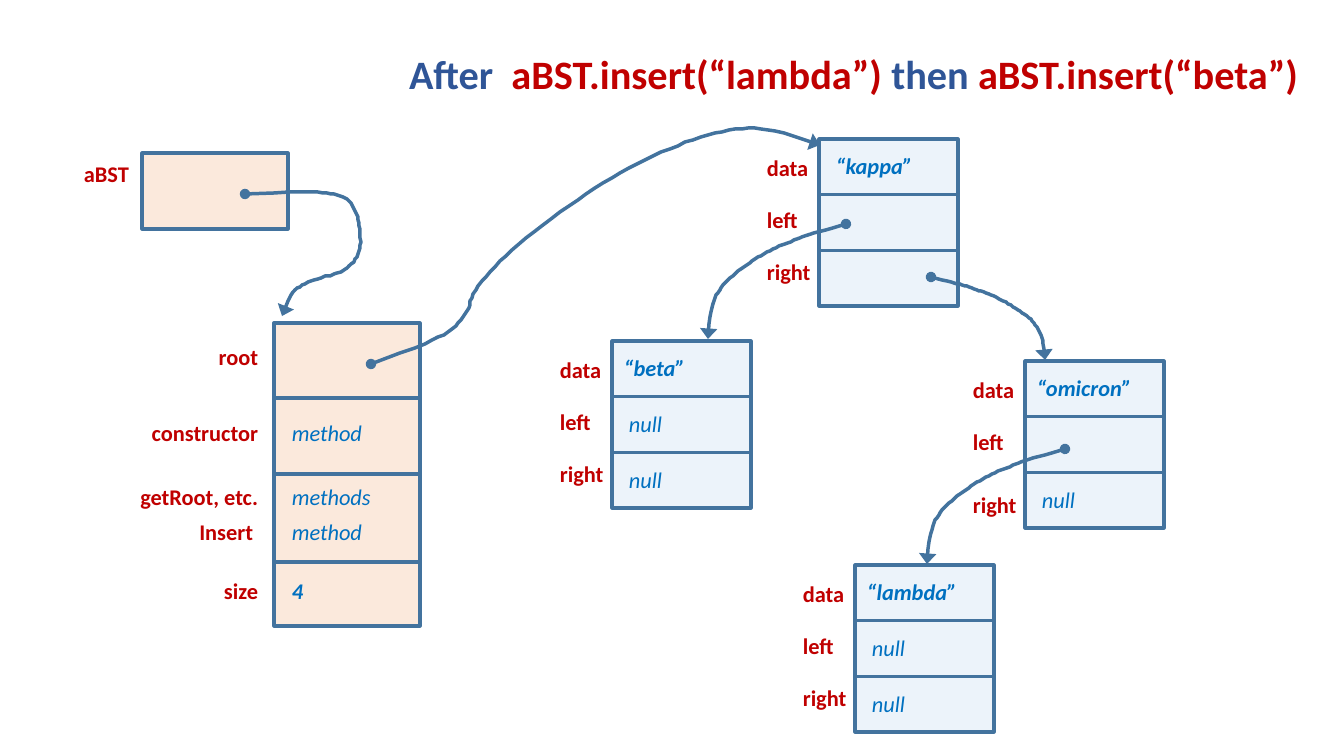
from dataclasses import dataclass

from lxml.etree import SubElement
from pptx import Presentation
from pptx.dml.color import RGBColor
from pptx.enum.shapes import MSO_SHAPE as Preset
from pptx.enum.text import MSO_ANCHOR as Anchor, PP_ALIGN as Align
from pptx.oxml.ns import qn
from pptx.util import Pt

SCALE = 914400 / 100.8  # EMU per pixel


@dataclass(frozen=True)
class Theme:
    """Colours, type and line sizes of the slide."""
    font: str = "Calibri"
    title_size: float = 28.8
    text_size: float = 16
    box_line: float = 2.25
    link_line: float = 2.5
    opacity: int = 28000
    heading: str = "2F5597"
    label: str = "C00000"
    value: str = "0070C0"
    outline: str = "43739E"
    tree_fill: str = "F4B183"
    node_fill: str = "BDD7EE"


THEME = Theme()
HEADING = {"color": THEME.heading, "bold": True}
LABEL = {"color": THEME.label, "bold": True}
VALUE = {"color": THEME.value, "italic": True}
KEY = {**VALUE, "bold": True}

# Boxes are left, top, width, height in pixels.
TITLE = (371, 25, 937, 103)
VARIABLE = (142, 153, 146, 76)
TREE = (274, 323, 146, 303)
KAPPA, BETA, OMICRON, LAMBDA = (
    (left, top, 139, 167)
    for left, top in ((819, 139), (612, 341), (1025, 361), (855, 565)))

# Each tree row: its height and its lines of label, value, value style.
TREE_ROWS = [
    (75, [("root", "", VALUE)]),
    (76, [("constructor", "method", VALUE)]),
    (88, [("getRoot, etc.", "methods", VALUE), ("Insert ", "method", VALUE)]),
    (64, [("size", "4", KEY)]),
]
LINE_PITCH = 35      # between text lines inside a tree row
TEXT_MIDDLE = 22     # from the top of a text box to the middle of its line
LABEL_PITCH = 52     # between the field labels of a node
CELL_PITCH = 56      # between the field values of a node


def emu(*pixels):
    """Turn pixel lengths into EMU."""
    return [round(pixel * SCALE) for pixel in pixels]


def apply(target, values):
    """Set every attribute named in a dict of format values."""
    for name, value in values.items():
        setattr(target, name, value)


def add_text(page, box, spans, align=Align.LEFT, size=THEME.text_size, **frame):
    """Place one paragraph of (text, format) spans in a box."""
    area = page.shapes.add_textbox(*emu(*box)).text_frame
    apply(area, {"word_wrap": True, **frame})
    para = area.paragraphs[0]
    para.alignment = align
    for text, style in spans:
        span = para.add_run()
        span.text = text
        style = dict(style)
        span.font.color.rgb = RGBColor.from_string(style.pop("color"))
        apply(span.font, {"name": THEME.font, "size": Pt(size), **style})
    return para


def set_outline(shape, width):
    """Give a shape the shared outline and no shadow."""
    shape.shadow.inherit = False
    shape.line.width = Pt(width)
    shape.line.color.rgb = RGBColor.from_string(THEME.outline)


def add_cell(page, box, colour):
    """Draw one translucent memory cell."""
    cell = page.shapes.add_shape(Preset.RECTANGLE, *emu(*box))
    cell.fill.solid()
    cell.fill.fore_color.rgb = RGBColor.from_string(colour)
    tint = cell._element.spPr.find(qn("a:solidFill"))[0]
    SubElement(tint, qn("a:alpha"), val=str(THEME.opacity))
    set_outline(cell, THEME.box_line)


def point_in(box, across, down):
    """Return the point that lies at an offset from a box's corner."""
    return box[0] + across, box[1] + down


def between(start, end, across, down):
    """Return the point at given fractions of the way from start to end."""
    return (start[0] + across * (end[0] - start[0]),
            start[1] + down * (end[1] - start[1]))


def round_corners(points, rounds=4):
    """Smooth a polyline by cutting each corner at a quarter of its sides."""
    for _ in range(rounds):
        cut = [between(start, end, part, part)
               for start, end in zip(points, points[1:]) for part in (0.25, 0.75)]
        points = [points[0], *cut[1:-1], points[-1]]
    return points


def add_link(page, dot, bends, tip):
    """Draw a smooth reference from a dot, around bends, to an arrow tip."""
    start, *rest = round_corners([dot, *bends, tip])
    builder = page.shapes.build_freeform(*start, scale=SCALE)
    builder.add_line_segments(rest, close=False)
    link = builder.convert_to_shape()
    link.fill.background()
    set_outline(link, THEME.link_line)
    stroke = link._element.spPr.find(qn("a:ln"))
    SubElement(stroke, qn("a:round"))
    SubElement(stroke, qn("a:headEnd"), type="oval")
    SubElement(stroke, qn("a:tailEnd"), type="triangle", w="lg")


def add_child_link(page, dot, tip):
    """Link a node to its child: sideways first, then steeply down."""
    bends = [between(dot, tip, *part) for part in ((0.3, 0.1), (0.65, 0.28), (0.97, 0.6))]
    add_link(page, dot, bends, tip)


def add_title(page, box):
    """Write the two-colour heading."""
    spans = [("After  ", HEADING), ("aBST.insert(“lambda”) ", LABEL),
             ("then ", HEADING), ("aBST.insert(“beta”)", LABEL)]
    para = add_text(page, box, spans, Align.RIGHT, THEME.title_size,
                    vertical_anchor=Anchor.MIDDLE)
    para.line_spacing = 0.9


def add_variable(page, box):
    """Draw the variable that refers to the tree."""
    add_cell(page, box, THEME.tree_fill)
    add_text(page, (*point_in(box, -68, 2), 71, 54), [("aBST", LABEL)])


def add_tree(page, box):
    """Draw the tree object, centring the lines of each row in its cell."""
    left, top, width, _ = box
    for height, lines in TREE_ROWS:
        add_cell(page, (left, top, width, height), THEME.tree_fill)
        first = top + height / 2 - TEXT_MIDDLE - LINE_PITCH * (len(lines) - 1) / 2
        for index, (label, value, style) in enumerate(lines):
            line_top = first + index * LINE_PITCH
            add_text(page, (left - 167, line_top, 161, 40), [(label, LABEL)], Align.RIGHT)
            if value:
                add_text(page, (left + 8, line_top, 110, 40), [(value, style)])
        top += height


def add_node(page, box, values, key_indent=2, last_label_drop=0):
    """Draw a node: a cell, a label and any value for each field."""
    left, top, width, height = box
    drops = (0, 0, last_label_drop)
    for row, label in enumerate(("data", "left", "right")):
        add_cell(page, (left, top + row * height / 3, width, height / 3), THEME.node_fill)
        label_top = top + 10 + row * LABEL_PITCH + drops[row]
        add_text(page, (left - 62, label_top, 125, 40), [(label, LABEL)])
        if values[row]:
            indent, style = (7, VALUE) if row else (key_indent, KEY)
            value_top = top + 8 + row * CELL_PITCH
            add_text(page, (left + indent, value_top, 125, 40), [(values[row], style)])


def add_links(page):
    """Draw the references between the variable, the tree and the nodes."""
    add_link(page, point_in(VARIABLE, 103, 41),
             [(338, 190), (360, 212), (361, 268), (294, 284)], point_in(TREE, 8, -7))
    add_link(page, point_in(TREE, 97, 41),
             [(464, 330), (476, 276), (618, 168), (745, 120)], point_in(KAPPA, 1, 6))
    add_child_link(page, point_in(KAPPA, 27, 85), point_in(BETA, 96, -2))
    add_child_link(page, point_in(KAPPA, 112, 138), point_in(OMICRON, 20, -1))
    add_child_link(page, point_in(OMICRON, 40, 88), point_in(LAMBDA, 72, -1))


def build_slide(page):
    """Place every region of the slide, then the links on top."""
    add_title(page, TITLE)
    add_variable(page, VARIABLE)
    add_tree(page, TREE)
    add_node(page, KAPPA, ("“kappa”", "", ""), key_indent=7)
    add_node(page, OMICRON, ("“omicron”", "", "null"), last_label_drop=11)
    add_node(page, LAMBDA, ("“lambda”", "null", "null"))
    add_node(page, BETA, ("“beta”", "null", "null"))
    add_links(page)


deck = Presentation()
deck.slide_width, deck.slide_height = emu(1344, 756)
build_slide(deck.slides.add_slide(deck.slide_layouts[6]))
deck.save("out.pptx")
